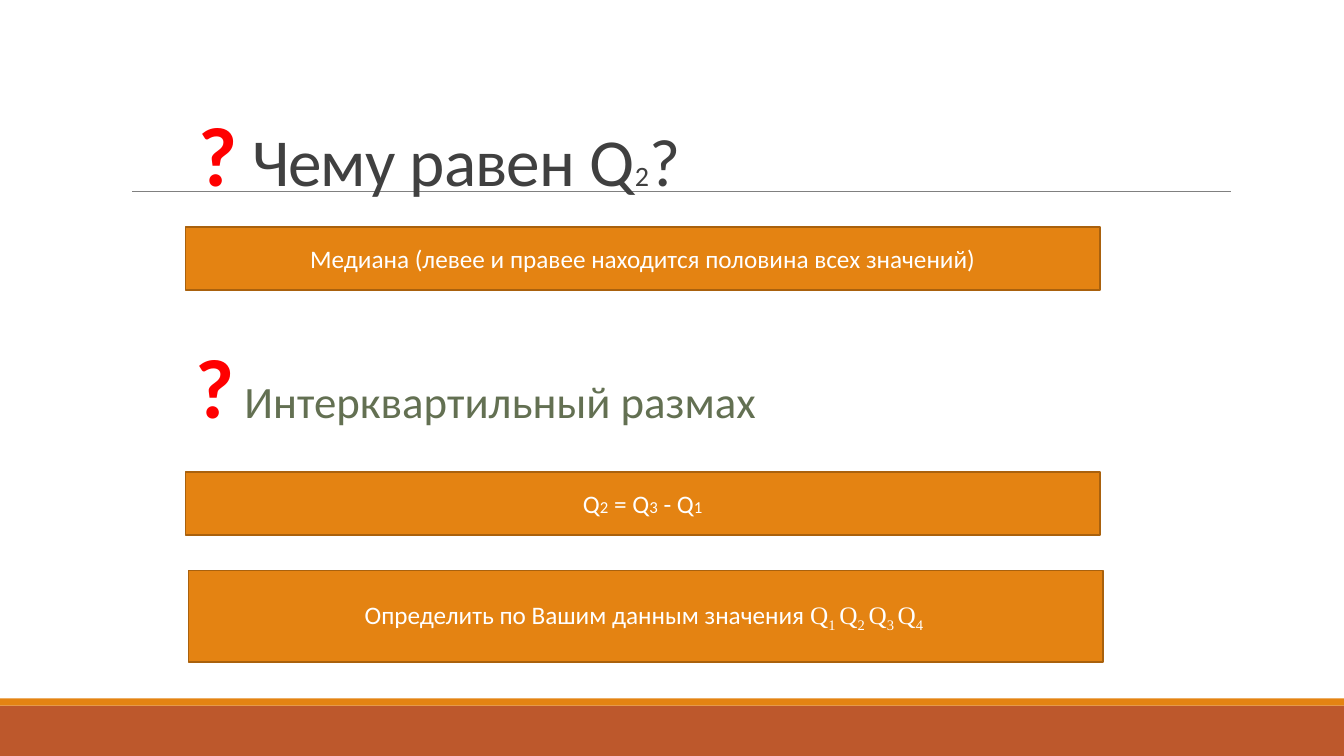
from dataclasses import dataclass

from lxml.etree import SubElement
from pptx import Presentation
from pptx.dml.color import RGBColor
from pptx.enum.shapes import MSO_CONNECTOR, MSO_SHAPE
from pptx.enum.text import MSO_ANCHOR, MSO_AUTO_SIZE, PP_ALIGN
from pptx.oxml.ns import qn
from pptx.util import Inches, Pt


@dataclass(frozen=True)
class Theme:
    sans: str = "Calibri"
    serif: str = "Times New Roman"
    white: str = "FFFFFF"
    orange: str = "E48312"
    edge: str = "A9610D"
    rust: str = "BD582C"
    rule: str = "808080"
    dark: str = "404040"
    green: str = "637052"
    red: str = "FF0000"
    mark: int = 60
    title: int = 48
    head: int = 32
    index: int = 20
    body: int = 18
    small: int = 12


THEME = Theme()
WIDTH, HEIGHT = 13.33, 7.5
LEFT, BAR_W, BAR_H = 1.84, 9.07, 0.63


def color(code):
    return RGBColor.from_string(code)


def write(para, text, size=THEME.body, ink=THEME.white, face=THEME.sans,
          bold=False, base=0, track=0):
    """Add a run; base is a percent shift, track is letter spacing in points."""
    run = para.add_run()
    run.text = text
    font = run.font
    font.size, font.name, font.bold = Pt(size), face, bold
    font.color.rgb = color(ink)
    props = run._r.get_or_add_rPr()
    if base:
        props.set("baseline", str(base * 1000))
    if track:
        props.set("spc", str(int(track * 100)))


def frame(shape, anchor, align):
    """Prepare the text frame and return its first paragraph."""
    text = shape.text_frame
    text.word_wrap = True
    text.auto_size = MSO_AUTO_SIZE.NONE
    text.vertical_anchor = anchor
    para = text.paragraphs[0]
    para.alignment = align
    return para


def block(slide, box, fill, edge=None):
    shape = slide.shapes.add_shape(MSO_SHAPE.RECTANGLE, *map(Inches, box))
    shape.shadow.inherit = False
    shape.fill.solid()
    shape.fill.fore_color.rgb = color(fill)
    if edge:
        shape.line.color.rgb = color(edge)
        shape.line.width = Pt(1.25)
    else:
        shape.line.fill.background()
    return shape


def footer(slide, box):
    """Draw the rust band with its thin orange strip on top."""
    x, y, w, h = box
    strip = 0.07
    block(slide, (x, y + strip, w, h - strip), THEME.rust)
    block(slide, (x, y, w, strip), THEME.orange)


def rule(slide, x, y, w):
    line = slide.shapes.add_connector(
        MSO_CONNECTOR.STRAIGHT, *map(Inches, (x, y, x + w, y)))
    line.line.color.rgb = color(THEME.rule)
    line.line.width = Pt(0.5)
    SubElement(line._element.spPr, qn("a:effectLst"))


def heading(slide, box):
    title = slide.shapes.title
    title.left, title.top, title.width, title.height = map(Inches, box)
    # Bring the title in front of the rule.
    title.element.getparent().append(title.element)
    para = frame(title, MSO_ANCHOR.BOTTOM, PP_ALIGN.LEFT)
    para.line_spacing = 0.85
    write(para, "?", size=THEME.mark, ink=THEME.red, bold=True, track=-0.5)
    for text, size in ((" Чему равен Q", THEME.title), ("2", THEME.index),
                       ("?", THEME.title)):
        write(para, text, size=size, ink=THEME.dark, track=-0.5)


def question(slide, box, text):
    shape = slide.shapes.add_textbox(*map(Inches, box))
    para = frame(shape, MSO_ANCHOR.BOTTOM, PP_ALIGN.LEFT)
    write(para, "?", size=THEME.mark, ink=THEME.red, bold=True)
    write(para, " " + text, size=THEME.head, ink=THEME.green)


def bar(slide, box):
    """Draw an answer bar and return its centred paragraph."""
    shape = block(slide, box, THEME.orange, THEME.edge)
    return frame(shape, MSO_ANCHOR.MIDDLE, PP_ALIGN.CENTER)


def median(slide, box):
    write(bar(slide, box),
          "Медиана (левее и правее находится половина всех значений)")


def formula(slide, box):
    para = bar(slide, box)
    for text, digit in (("Q", "2"), (" = Q", "3"), (" - Q", "1")):
        write(para, text)
        write(para, digit, size=THEME.small)


def task(slide, box):
    para = bar(slide, box)
    write(para, "Определить по Вашим данным значения ")
    for number in range(1, 5):
        write(para, "Q", face=THEME.serif)
        write(para, f"{number} ", face=THEME.serif, base=-25)


def main():
    deck = Presentation()
    deck.slide_width, deck.slide_height = Inches(WIDTH), Inches(HEIGHT)
    slide = deck.slides.add_slide(deck.slide_layouts[5])
    footer(slide, (0, 6.93, WIDTH, HEIGHT - 6.93))
    rule(slide, 1.31, 1.9, 10.9)
    heading(slide, (1.87, 0.63, 9.4, 1.44))
    median(slide, (LEFT, 2.25, BAR_W, BAR_H))
    question(slide, (LEFT, 3.37, 9, 1), "Интерквартильный размах")
    formula(slide, (LEFT, 4.68, BAR_W, BAR_H))
    task(slide, (1.87, 5.66, BAR_W, 0.91))
    deck.save("out.pptx")


if __name__ == "__main__":
    main()
